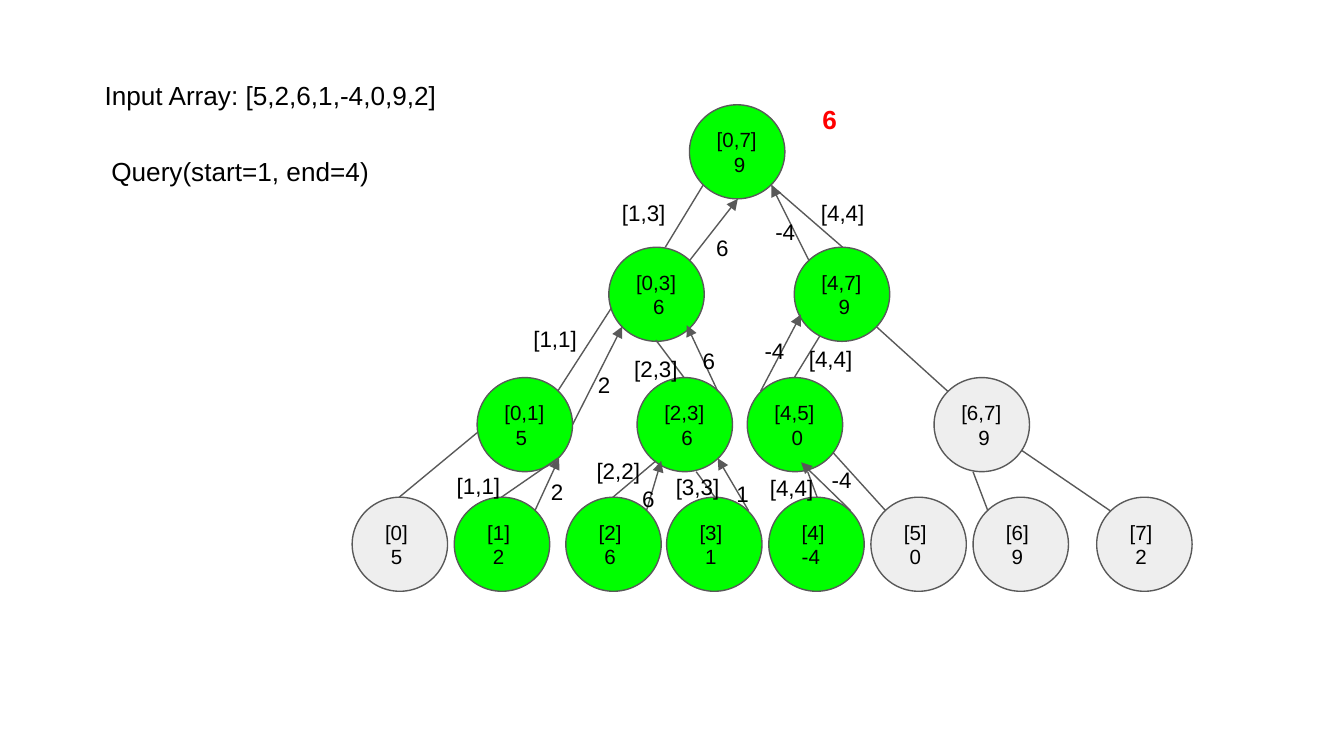
import pptx
import pptx.dml.color
import pptx.enum.shapes
import pptx.enum.text
import pptx.oxml
import pptx.oxml.ns
import pptx.util
from pptx.util import Inches

COLORS = {
    "visited": "00FF00",
    "unvisited": "EEEEEE",
    "line": "595959",
    "text": "000000",
    "answer": "FF0000",
}
FONT = "Arial"
NODE_WIDTH, NODE_HEIGHT = 0.71, 0.7
SPACE = 3.06  # width of a space at 11 pt, in points

# Tree levels: top, key indent and value indent in spaces, then
# (left, key, value, fill) for each node
LEVELS = [
    (0.78, 0, 3, [(5.13, "[0,7]", "9", "visited")]),
    (1.84, 0, 3, [(4.53, "[0,3]", "6", "visited"),
                  (5.91, "[4,7]", "9", "visited")]),
    (2.81, 0, 3, [(3.55, "[0,1]", "5", "visited"),
                  (4.74, "[2,3]", "6", "visited"),
                  (5.56, "[4,5]", "0", "visited"),
                  (6.95, "[6,7]", "9", "unvisited")]),
    (3.7, 1, 2, [(2.62, "[0]", "5", "unvisited"),
                 (3.38, "[1]", "2", "visited"),
                 (4.21, "[2]", "6", "visited"),
                 (4.96, "[3]", "1", "visited"),
                 (5.72, "[4]", "-4", "visited"),
                 (6.48, "[5]", "0", "unvisited"),
                 (7.24, "[6]", "9", "unvisited"),
                 (8.16, "[7]", "2", "unvisited")]),
]

# Parent to child: x1, y1, x2, y2
BRANCHES = [
    (5.23, 1.38, 4.95, 1.84), (5.74, 1.38, 6.27, 1.84),
    (4.55, 2.29, 4.15, 2.91), (4.88, 2.53, 5.09, 2.81),
    (6.1, 2.5, 5.91, 2.81), (6.52, 2.43, 7.05, 2.91),
    (4.15, 3.41, 3.73, 3.7), (3.55, 3.22, 2.97, 3.7),
    (4.88, 3.43, 4.56, 3.7), (5.18, 3.51, 5.32, 3.7),
    (6.01, 3.51, 6.08, 3.7), (6.2, 3.37, 6.59, 3.8),
    (7.24, 3.51, 7.35, 3.8), (7.6, 3.35, 8.26, 3.8),
]

# Child back to parent: x1, y1, x2, y2
RETURNS = [
    (3.98, 3.8, 4.16, 3.41), (4.26, 3.16, 4.63, 2.43),
    (4.81, 3.8, 4.92, 3.43), (5.57, 3.8, 5.34, 3.41),
    (5.34, 2.91, 5.11, 2.42), (5.13, 1.94, 5.49, 1.48),
    (6.33, 3.8, 5.96, 3.44), (5.66, 2.91, 5.96, 2.34),
    (6.02, 1.94, 5.74, 1.38),
]

# Labels grouped by box width and height: (left, top, text)
LABELS = {
    (0.66, 0.26): [(4.53, 1.38, "[1,3]"), (6.01, 1.38, "[4,4]"),
                   (5.92, 2.47, "[4,4]"), (5.63, 3.43, "[4,4]")],
    (0.58, 0.26): [(3.87, 2.32, "[1,1]"), (3.3, 3.41, "[1,1]"),
                   (4.62, 2.54, "[2,3]"), (4.34, 3.3, "[2,2]"),
                   (4.93, 3.42, "[3,3]")],
    (0.29, 0.28): [(4, 3.46, "2"), (4.35, 2.66, "2"), (5.13, 2.48, "6"),
                   (5.23, 1.64, "6")],
    (0.29, 0.26): [(4.68, 3.51, "6"), (5.38, 3.47, "1")],
    (0.42, 0.26): [(6.09, 3.37, "-4"), (5.59, 2.41, "-4"), (5.67, 1.52, "-4")],
}


def color(name):
    return pptx.dml.color.RGBColor.from_string(COLORS[name])


def format_paragraph(paragraph, text, size, color_name="text", bold=False):
    paragraph.text = text
    paragraph.alignment = pptx.enum.text.PP_ALIGN.LEFT
    paragraph.font.name = FONT
    paragraph.font.size = pptx.util.Pt(size)
    paragraph.font.bold = bold
    paragraph.font.color.rgb = color(color_name)


def set_insets(frame, right=0.1):
    frame.margin_left = frame.margin_top = frame.margin_bottom = Inches(0.1)
    frame.margin_right = Inches(right)
    frame.word_wrap = True


def format_line(line):
    line.color.rgb = color("line")
    line.width = pptx.util.Pt(0.75)


def add_text(slide, left, top, width, height, text, size, **style):
    box = slide.shapes.add_textbox(
        Inches(left), Inches(top), Inches(width), Inches(height))
    set_insets(box.text_frame)
    format_paragraph(box.text_frame.paragraphs[0], text, size, **style)


def add_node(slide, left, top, fill, lines):
    """Draw a circle whose lines are (text, indent in spaces) pairs."""
    shape = slide.shapes.add_shape(
        pptx.enum.shapes.MSO_SHAPE.OVAL, Inches(left), Inches(top),
        Inches(NODE_WIDTH), Inches(NODE_HEIGHT))
    shape.shadow.inherit = False
    shape.fill.solid()
    shape.fill.fore_color.rgb = color(fill)
    format_line(shape.line)
    frame = shape.text_frame
    set_insets(frame, right=0)
    frame.vertical_anchor = pptx.enum.text.MSO_ANCHOR.MIDDLE
    frame.add_paragraph()
    for paragraph, (text, indent) in zip(frame.paragraphs, lines):
        format_paragraph(paragraph, text, 11)
        properties = paragraph._p.get_or_add_pPr()
        properties.set("marL", str(int(pptx.util.Pt(indent * SPACE))))


def add_edge(slide, x1, y1, x2, y2, arrow=False):
    connector = slide.shapes.add_connector(
        pptx.enum.shapes.MSO_CONNECTOR.STRAIGHT,
        Inches(x1), Inches(y1), Inches(x2), Inches(y2))
    format_line(connector.line)
    if arrow:
        tail = pptx.oxml.parse_xml(
            f'<a:tailEnd {pptx.oxml.ns.nsdecls("a")} type="triangle"/>')
        connector.line._get_or_add_ln().append(tail)
    connector._element.spPr.append(
        pptx.oxml.parse_xml(f'<a:effectLst {pptx.oxml.ns.nsdecls("a")}/>'))


def main():
    # Widescreen 16:9 slide
    presentation = pptx.Presentation()
    presentation.slide_width = Inches(10)
    presentation.slide_height = Inches(10 * 9 / 16)
    slide = presentation.slides.add_slide(presentation.slide_layouts[6])

    # Segment tree
    for top, key_indent, value_indent, nodes in LEVELS:
        for left, key, value, fill in nodes:
            # Wide values and the [0,1] node sit one space further left
            shift = 1 if value.startswith("-") or key == "[0,1]" else 0
            add_node(slide, left, top, fill,
                     [(key, key_indent), (value, value_indent - shift)])
    for branch in BRANCHES:
        add_edge(slide, *branch)

    # Query ranges going down and results coming back up
    for arrow in RETURNS:
        add_edge(slide, *arrow, arrow=True)
    for (width, height), labels in LABELS.items():
        for left, top, text in labels:
            add_text(slide, left, top, width, height, text, 12)

    # Input, query and answer
    add_text(slide, 0.68, 0.49, 4, 0.44, "Input Array: [5,2,6,1,-4,0,9,2]", 14)
    add_text(slide, 0.73, 1.06, 4, 0.44, "Query(start=1, end=4)", 14)
    add_text(slide, 6.02, 0.67, 0.53, 0.37, "6", 14,
             color_name="answer", bold=True)

    presentation.save("out.pptx")


if __name__ == "__main__":
    main()
